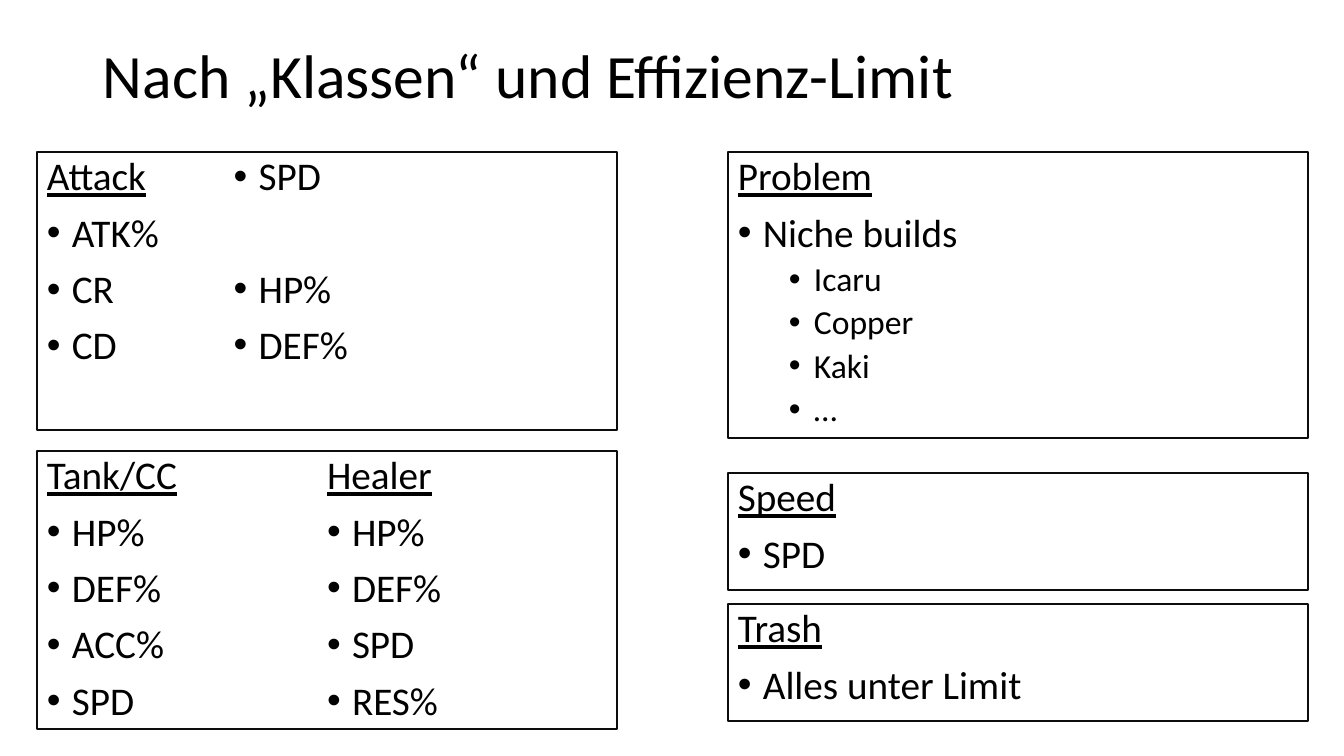
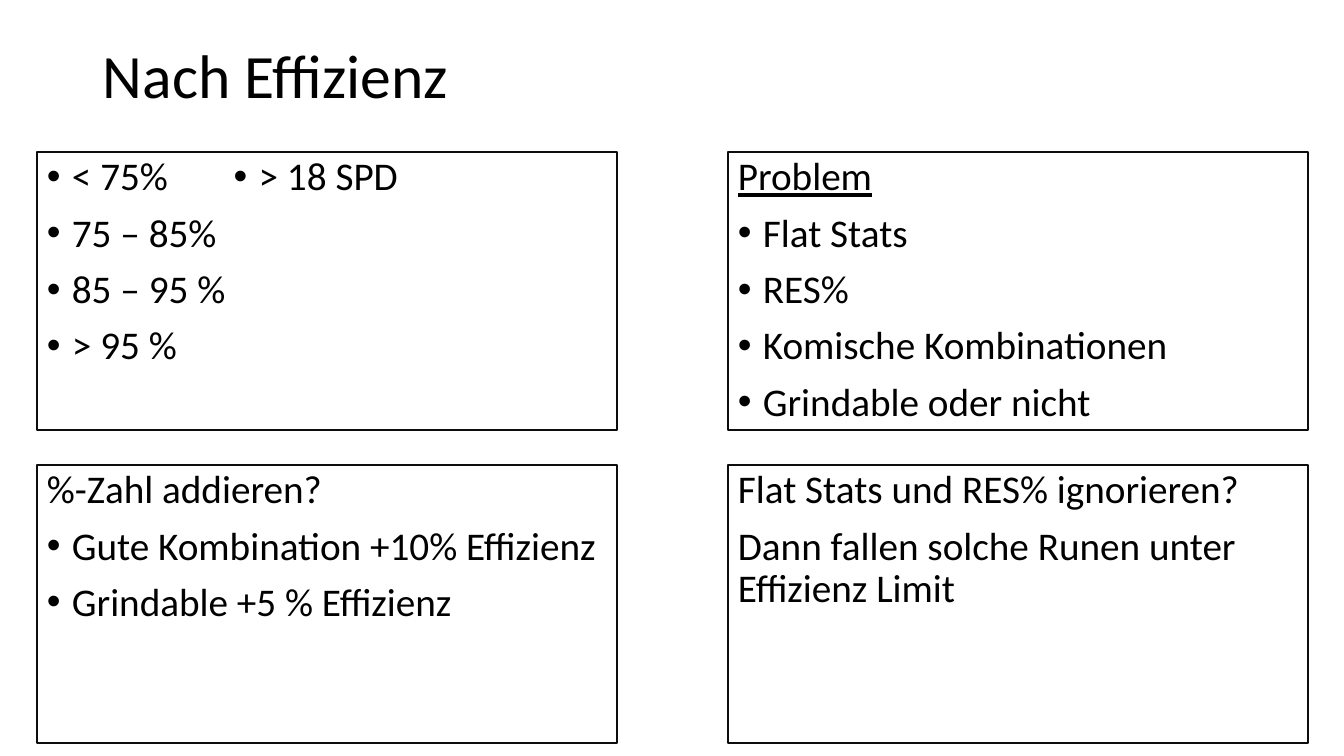
from lxml.etree import SubElement
from pptx import Presentation
from pptx.dml.color import RGBColor
from pptx.enum.shapes import MSO_SHAPE as SHAPE
from pptx.enum.text import MSO_ANCHOR as ANCHOR, PP_ALIGN as ALIGN
from pptx.oxml.ns import qn
from pptx.util import Emu, Pt

TEXT = RGBColor(0x00, 0x00, 0x00)
BORDER = RGBColor(0x0D, 0x0D, 0x0D)
FONT = "Calibri"
LEFT, RIGHT, TOP = 37, 728, 152
BOX_WIDTH, BOX_HEIGHT = 580, 278
HEADING, PLAIN, BULLET, SUB_BULLET = range(4)
ROW_PITCH = 40  # points from one bullet row to the next


def px(value):
    """Turn pixels into EMU."""
    return Emu(round(value * 914400 / 100.8))


def bullets(*texts):
    """Give each text as a first-level bullet."""
    return [(BULLET, text) for text in texts]


class Board:
    """Holds the deck, its style and the current slide."""

    def __init__(self):
        """Start an empty widescreen deck."""
        self.deck = Presentation()
        self.deck.slide_width, self.deck.slide_height = px(1344), px(756)

    def page(self, title):
        """Add a blank slide with its title."""
        self.slide = self.deck.slides.add_slide(self.deck.slide_layouts[6])
        box = self.slide.shapes.add_textbox(px(93), px(6), px(1159), px(146))
        frame = box.text_frame
        frame.word_wrap = True
        frame.vertical_anchor = ANCHOR.MIDDLE
        self.add_text(frame.paragraphs[0], title, 44)

    def add_text(self, para, text, size, underline=False):
        """Put one styled run into a paragraph."""
        para.alignment = ALIGN.LEFT
        para.line_spacing = 0.9
        span = para.add_run()
        span.text = text
        span.font.name = FONT
        span.font.size = Pt(size)
        span.font.color.rgb = TEXT
        if underline:
            span.font.underline = True

    def bullet(self, para, indent):
        """Give a paragraph a hanging round bullet."""
        props = para._p.get_or_add_pPr()
        props.set("marL", str(px(indent)))
        props.set("indent", str(-px(25)))
        SubElement(props, qn("a:buFont")).set("typeface", "Arial")
        SubElement(props, qn("a:buChar")).set("char", "•")

    def panel(self, left, top, lines, height=BOX_HEIGHT, columns=1, free=0):
        """Add a bordered text panel; free is the space kept empty below."""
        box = self.slide.shapes.add_shape(
            SHAPE.RECTANGLE, px(left), px(top), px(BOX_WIDTH), px(height))
        box.shadow.inherit = False
        box.fill.background()
        box.line.color.rgb = BORDER
        box.line.width = Pt(1)
        frame = box.text_frame
        frame.word_wrap = True
        frame.vertical_anchor = ANCHOR.TOP
        frame.margin_bottom = px(free)
        if columns > 1:
            frame._txBody.bodyPr.set("numCol", str(columns))
        for index, (kind, text, *skipped) in enumerate(lines):
            para = frame.add_paragraph() if index else frame.paragraphs[0]
            sub = kind == SUB_BULLET
            rows = skipped[0] if skipped else 0
            para.space_before = Pt((5 if sub else 10) + rows * ROW_PITCH)
            self.add_text(para, text, 24 if sub else 28, kind == HEADING)
            if kind in (BULLET, SUB_BULLET):
                self.bullet(para, 76 if sub else 25)


board = Board()

board.page("Nach „Klassen“ und Effizienz-Limit")
board.panel(LEFT, TOP, [
    (HEADING, "Attack"), *bullets("ATK%", "CR", "CD", "SPD"),
    (BULLET, "HP%", 1), (BULLET, "DEF%")], columns=3, free=50)
board.panel(LEFT, 451, [
    (HEADING, "Tank/CC"), *bullets("HP%", "DEF%", "ACC%", "SPD"),
    (HEADING, "Healer"), *bullets("HP%", "DEF%", "SPD", "RES%")], columns=2)
board.panel(RIGHT, TOP, [
    (HEADING, "Problem"), (BULLET, "Niche builds"),
    *((SUB_BULLET, name) for name in ("Icaru", "Copper", "Kaki", "…"))],
    height=286)
for top, heading, item in ((473, "Speed", "SPD"),
                           (604, "Trash", "Alles unter Limit")):
    board.panel(RIGHT, top, [(HEADING, heading), (BULLET, item)], height=117)

board.page("Nach Effizienz")
board.panel(LEFT, TOP, bullets(
    "< 75%", "75 – 85%", "85 – 95 %", "> 95 %", "> 18 SPD"),
    columns=3, free=50)
board.panel(RIGHT, TOP, [(HEADING, "Problem"), *bullets(
    "Flat Stats", "RES%", "Komische Kombinationen", "Grindable oder nicht")])
board.panel(LEFT, 465, [(PLAIN, "%-Zahl addieren?"), *bullets(
    "Gute Kombination +10% Effizienz", "Grindable +5 % Effizienz")])
board.panel(RIGHT, 465, [
    (PLAIN, "Flat Stats und RES% ignorieren?"),
    (PLAIN, "Dann fallen solche Runen unter Effizienz Limit")])

board.deck.save("out.pptx")
